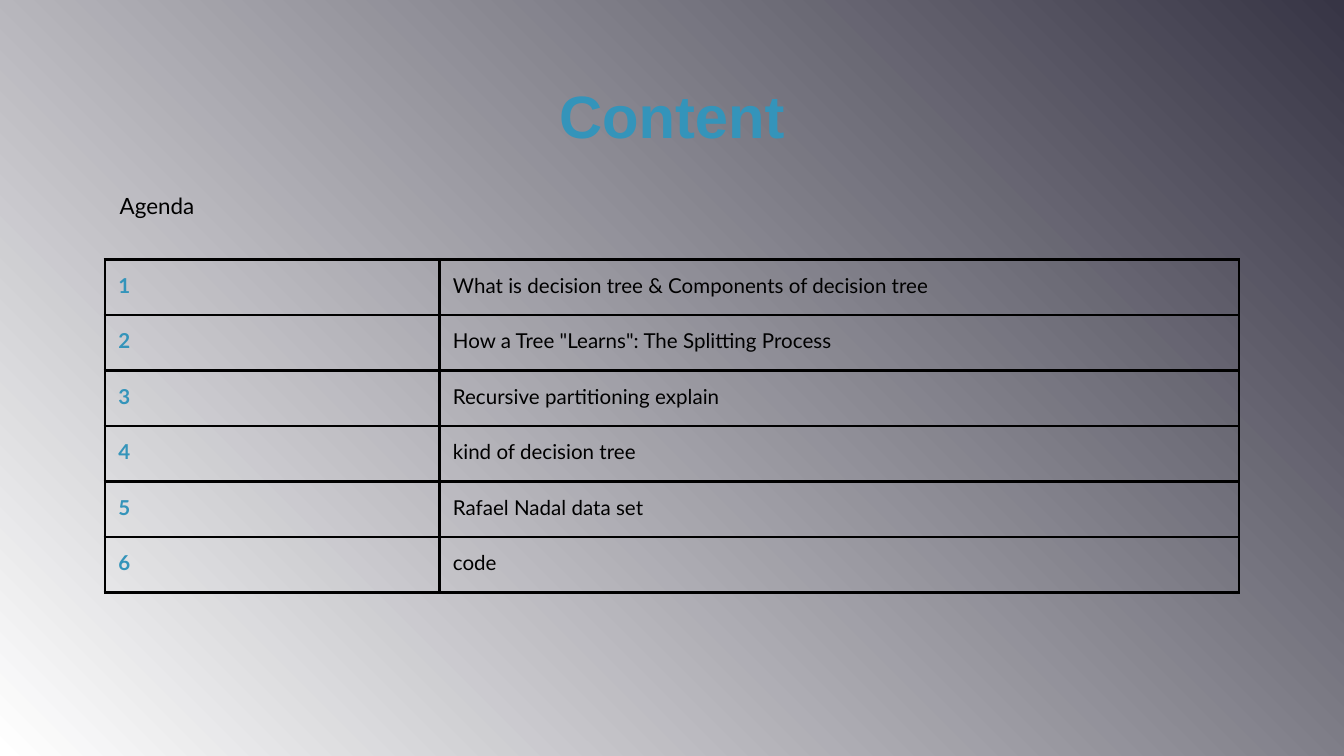
"""Build the agenda slide of a decision tree presentation."""
from lxml import etree
from pptx import Presentation
from pptx.dml.color import RGBColor
from pptx.enum.text import MSO_ANCHOR, PP_ALIGN
from pptx.oxml.ns import qn
from pptx.util import Inches, Pt

CENTER, LEFT = PP_ALIGN.CENTER, PP_ALIGN.LEFT
MIDDLE, TOP = MSO_ANCHOR.MIDDLE, MSO_ANCHOR.TOP
WHITE = RGBColor(0xFF, 0xFF, 0xFF)
SLATE = RGBColor(0x37, 0x35, 0x45)
TEAL = RGBColor(0x34, 0x94, 0xBA)
BLACK = RGBColor(0x00, 0x00, 0x00)

WIDTH = 10
HEIGHT = WIDTH * 9 / 16
MARGIN = 0.78
CONTENT_WIDTH = WIDTH - 2 * MARGIN
NUMBER_WIDTH = 2.49
TABLE_HEIGHT = 2.48
INSET = Inches(0.1)
MARGINS = dict.fromkeys(
    ("margin_left", "margin_top", "margin_right", "margin_bottom"), INSET)

TITLE_FONT = {"name": "Arial", "size": Pt(32), "bold": True}
AGENDA_FONT = {"name": "Lato", "size": Pt(12), "bold": False}
NUMBER_FONT = {"name": "Lato", "size": Pt(11), "bold": True}
TOPIC_FONT = {"name": "Lato", "size": Pt(11), "bold": False}

TOPICS = [
    "What is decision tree & Components of decision tree",
    'How a Tree "Learns": The Splitting Process',
    "Recursive partitioning explain",
    "kind of decision tree",
    "Rafael Nadal data set",
    "code",
]


def set_attributes(target, values):
    """Set each named attribute of the target."""
    for name, value in values.items():
        setattr(target, name, value)


def format_paragraph(paragraph, font, color, alignment=LEFT):
    """Apply font, colour and alignment to a paragraph."""
    paragraph.alignment = alignment
    paragraph.space_before = Pt(0)
    run = paragraph.runs[0]
    set_attributes(run.font, font)
    run.font.color.rgb = color


def paint_background(slide):
    """Fill the slide with a gradient rising to the top right."""
    fill = slide.background.fill
    fill.gradient()
    fill.gradient_angle = 45
    for stop, position, color in zip(fill.gradient_stops, (0, 1), (WHITE, SLATE)):
        stop.position = position
        stop.color.rgb = color


def fill_placeholder(placeholder, text, box, font, color, alignment, anchor):
    """Place a placeholder and write one unbulleted paragraph in it."""
    for name, length in zip(("left", "top", "width", "height"), box):
        setattr(placeholder, name, Inches(length))
    frame = placeholder.text_frame
    set_attributes(frame, MARGINS)
    set_attributes(frame, {"text": text, "word_wrap": True, "vertical_anchor": anchor})
    paragraph = frame.paragraphs[0]
    properties = paragraph._p.get_or_add_pPr()
    properties.set("marL", "0")
    properties.set("indent", "0")
    etree.SubElement(properties, qn("a:buNone"))
    format_paragraph(paragraph, font, color, alignment)


def add_borders(cell, color, width):
    """Draw a solid line on all four sides of a cell."""
    properties = cell._tc.get_or_add_tcPr()
    for side in ("lnL", "lnR", "lnT", "lnB"):
        line = etree.SubElement(properties, qn(f"a:{side}"), w=str(width))
        solid = etree.SubElement(line, qn("a:solidFill"))
        etree.SubElement(solid, qn("a:srgbClr"), val=str(color))


def fill_cell(cell, text, font, color):
    """Write a transparent, bordered table cell."""
    set_attributes(cell, MARGINS)
    cell.text = text
    format_paragraph(cell.text_frame.paragraphs[0], font, color)
    add_borders(cell, BLACK, Pt(1.5))
    cell.fill.background()


def add_agenda_table(slide, topics, top):
    """Add the numbered table of topics."""
    table = slide.shapes.add_table(
        len(topics), 2, Inches(MARGIN), Inches(top),
        Inches(CONTENT_WIDTH), Inches(TABLE_HEIGHT),
    ).table
    set_attributes(table, {"first_row": False, "horz_banding": False})
    table.columns[0].width = Inches(NUMBER_WIDTH)
    table.columns[1].width = Inches(CONTENT_WIDTH - NUMBER_WIDTH)
    for index, topic in enumerate(topics):
        fill_cell(table.cell(index, 0), str(index + 1), NUMBER_FONT, TEAL)
        fill_cell(table.cell(index, 1), topic, TOPIC_FONT, BLACK)


def main():
    """Build and save the presentation."""
    presentation = Presentation()
    presentation.slide_width = Inches(WIDTH)
    presentation.slide_height = Inches(HEIGHT)
    slide = presentation.slides.add_slide(presentation.slide_layouts[1])
    paint_background(slide)
    title, body = slide.placeholders
    fill_placeholder(title, "Content", (MARGIN, 0.54, CONTENT_WIDTH, 0.63),
                     TITLE_FONT, TEAL, CENTER, MIDDLE)
    fill_placeholder(body, "Agenda", (MARGIN + 0.01, 1.33, CONTENT_WIDTH, 0.52),
                     AGENDA_FONT, BLACK, LEFT, TOP)
    add_agenda_table(slide, TOPICS, 1.93)
    presentation.save("out.pptx")


if __name__ == "__main__":
    main()
